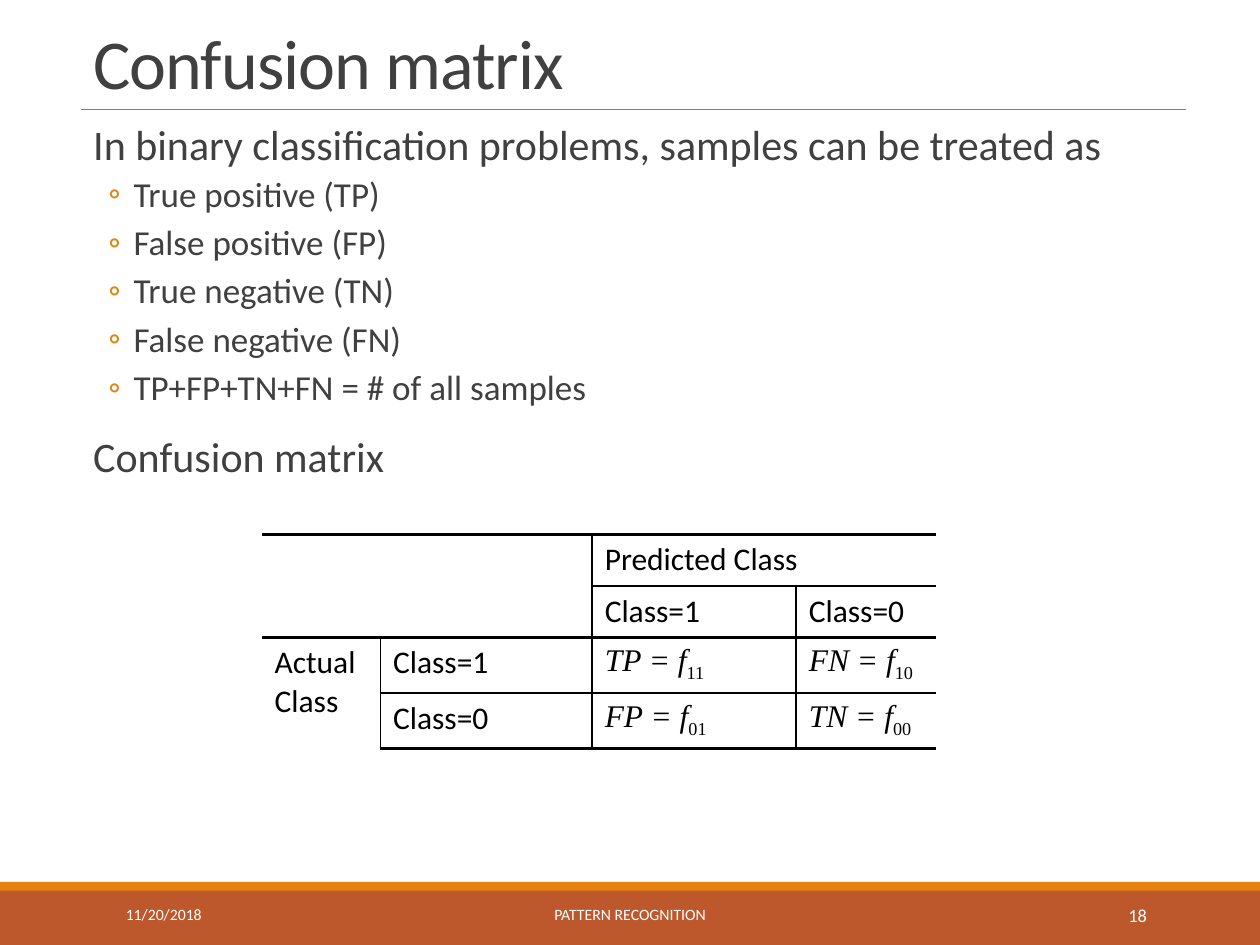
from dataclasses import dataclass

from lxml import etree
from pptx import Presentation
from pptx import util as u
from pptx.dml.color import RGBColor
from pptx.enum import shapes, text
from pptx.oxml import ns


@dataclass(frozen=True)
class Theme:
    """Colours, fonts and type sizes of the slide."""
    ink: str = "404040"
    black: str = "000000"
    white: str = "FFFFFF"
    rule: str = "808080"
    rust: str = "BD582C"
    orange: str = "E48312"
    sans: str = "Calibri"
    serif: str = "Times New Roman"
    title: float = 40
    lead: float = 24
    point: float = 20
    cell: float = 18
    footer: float = 9
    number: float = 10.5


THEME = Theme()
LEFT, CENTER, RIGHT = text.PP_ALIGN.LEFT, text.PP_ALIGN.CENTER, text.PP_ALIGN.RIGHT
TOP, MIDDLE, BOTTOM = text.MSO_ANCHOR.TOP, text.MSO_ANCHOR.MIDDLE, text.MSO_ANCHOR.BOTTOM

OUTCOMES = ["True positive (TP)", "False positive (FP)", "True negative (TN)",
            "False negative (FN)", "TP+FP+TN+FN = # of all samples"]
COLUMN_WIDTHS = [0.94, 1.68, 1.62, 1.11]
ROW_HEIGHT = 0.41
MERGES = [((0, 0), (1, 1)), ((0, 2), (0, 3)), ((2, 0), (3, 0))]
LABELS = {(0, 2): "Predicted Class", (1, 2): "Class=1", (1, 3): "Class=0",
          (2, 0): "Actual Class", (2, 1): "Class=1", (3, 1): "Class=0"}
COUNTS = {(2, 2): ("TP", "11"), (2, 3): ("FN", "10"),
          (3, 2): ("FP", "01"), (3, 3): ("TN", "00")}
ROW_RULES = [[2.25] * 4, [0, 0, 1, 1], [1.5] * 4, [0, 1, 1, 1], [2.25] * 4]
COLUMN_RULES = [[0] * 4, [0, 0, 1, 1], [1.5] * 4, [0, 1, 1, 1], [0] * 4]


def inches(*lengths):
    """Convert numbers to lengths."""
    return [u.Inches(length) for length in lengths]


def write(paragraph, words, *, size, color=THEME.ink, font=THEME.sans,
          italic=False, baseline=None, tracking=None):
    """Add one formatted run to a paragraph."""
    run = paragraph.add_run()
    run.text = words
    run.font.size = u.Pt(size)
    run.font.name = font
    run.font.italic = italic
    run.font.color.rgb = RGBColor.from_string(color)
    properties = run._r.get_or_add_rPr()
    if baseline is not None:
        properties.set("baseline", str(baseline * 1000))
    if tracking is not None:
        properties.set("spc", str(int(tracking * 100)))


def add_frame(slide, place, *, anchor=TOP, side=0.1):
    """Add a wrapping text box and return its text frame."""
    frame = slide.shapes.add_textbox(*inches(*place)).text_frame
    frame.word_wrap = True
    frame.vertical_anchor = anchor
    frame.margin_left = frame.margin_right = u.Inches(side)
    return frame


def add_line_of_text(slide, place, words, *, align=LEFT, anchor=MIDDLE,
                     leading=1.0, **style):
    """Add a text box that holds a single paragraph."""
    paragraph = add_frame(slide, place, anchor=anchor).paragraphs[0]
    paragraph.alignment = align
    paragraph.line_spacing = leading
    write(paragraph, words, **style)


def add_band(slide, place, color):
    """Add a plain coloured rectangle."""
    band = slide.shapes.add_shape(shapes.MSO_SHAPE.RECTANGLE, *inches(*place))
    band.shadow.inherit = False
    band.fill.solid()
    band.fill.fore_color.rgb = RGBColor.from_string(color)
    band.line.fill.background()


def add_title_rule(slide):
    """Add the thin line under the title."""
    rule = slide.shapes.add_connector(shapes.MSO_CONNECTOR.STRAIGHT,
                                      *inches(0.64, 0.87, 9.41, 0.87))
    rule.line.width = u.Pt(0.5)
    rule.line.color.rgb = RGBColor.from_string(THEME.rule)
    etree.SubElement(rule._element.spPr, ns.qn("a:effectLst"))


def format_bullet(paragraph, mark, *, margin, hanging, before, after):
    """Give a paragraph its bullet, indent and spacing."""
    paragraph.line_spacing = 0.9
    paragraph.space_before = u.Pt(before)
    paragraph.space_after = u.Pt(after)
    properties = paragraph._p.get_or_add_pPr()
    properties.set("marL", str(u.Inches(margin)))
    properties.set("indent", str(-u.Inches(hanging)))
    color = etree.SubElement(properties, ns.qn("a:buClr"))
    etree.SubElement(color, ns.qn("a:srgbClr"), val=THEME.orange)
    etree.SubElement(properties, ns.qn("a:buFont"), typeface=THEME.sans)
    etree.SubElement(properties, ns.qn("a:buChar"), char=mark)


def add_body(slide):
    """Add the lead sentences and the list of outcomes."""
    frame = add_frame(slide, (0.64, 0.94, 8.77, 5.95), side=0)
    lead = dict(margin=0.1, hanging=0.1, before=12, after=2)
    point = dict(margin=0.42, hanging=0.2, before=2, after=4)
    lines = [("In binary classification problems, samples can be treated as",
              " ", THEME.lead, lead)]
    lines += [(outcome, "◦", THEME.point, point) for outcome in OUTCOMES]
    lines.append(("Confusion matrix", " ", THEME.lead, lead))
    for index, (words, mark, size, layout) in enumerate(lines):
        paragraph = frame.add_paragraph() if index else frame.paragraphs[0]
        format_bullet(paragraph, mark, **layout)
        write(paragraph, words, size=size)


def set_borders(cell, **widths):
    """Draw the cell's edges, where a width of zero hides one."""
    properties = cell._tc.get_or_add_tcPr()
    for side, width in widths.items():
        edge = etree.SubElement(properties, ns.qn(f"a:ln{side}"), w=str(u.Pt(width)))
        if width:
            fill = etree.SubElement(edge, ns.qn("a:solidFill"))
            etree.SubElement(fill, ns.qn("a:srgbClr"), val=THEME.black)
        else:
            etree.SubElement(edge, ns.qn("a:noFill"))


def add_matrix(slide):
    """Add the confusion matrix with its ruled cells."""
    place = inches(2.08, 4.24, sum(COLUMN_WIDTHS), 4 * ROW_HEIGHT)
    matrix = slide.shapes.add_table(4, 4, *place).table
    matrix.first_row = matrix.horz_banding = False
    for column, width in zip(matrix.columns, COLUMN_WIDTHS):
        column.width = u.Inches(width)
    for r, row in enumerate(matrix.rows):
        row.height = u.Inches(ROW_HEIGHT)
        for c, cell in enumerate(row.cells):
            set_borders(cell, L=COLUMN_RULES[c][r], R=COLUMN_RULES[c + 1][r],
                        T=ROW_RULES[r][c], B=ROW_RULES[r + 1][c])
            cell.fill.background()
    for start, end in MERGES:
        matrix.cell(*start).merge(matrix.cell(*end))
    style = dict(size=THEME.cell, color=THEME.black)
    for position, label in LABELS.items():
        write(matrix.cell(*position).text_frame.paragraphs[0], label, **style)
    for position, (count, index) in COUNTS.items():
        paragraph = matrix.cell(*position).text_frame.paragraphs[0]
        write(paragraph, f"{count} = f", font=THEME.serif, italic=True, **style)
        write(paragraph, index, font=THEME.serif, baseline=-25, **style)


def add_footer(slide):
    """Add the date, course name and slide number."""
    entries = [(0.9, 2.03, "11/20/2018", LEFT, THEME.footer),
               (3.02, 3.96, "PATTERN RECOGNITION", CENTER, THEME.footer),
               (8.12, 1.08, "18", RIGHT, THEME.number)]
    for left, width, words, align, size in entries:
        add_line_of_text(slide, (left, 7.06, width, 0.4), words, align=align,
                         size=size, color=THEME.white)


def main():
    """Build the slide and save it."""
    deck = Presentation()
    deck.slide_width, deck.slide_height = inches(10, 7.5)
    slide = deck.slides.add_slide(deck.slide_layouts[6])
    add_band(slide, (0, 7.06, 10, 0.44), THEME.rust)
    add_band(slide, (0, 7, 10, 0.07), THEME.orange)
    add_title_rule(slide)
    add_line_of_text(slide, (0.64, 0.13, 8.77, 0.74), "Confusion matrix",
                     anchor=BOTTOM, leading=0.85, size=THEME.title, tracking=-0.5)
    add_body(slide)
    add_footer(slide)
    add_matrix(slide)
    deck.save("out.pptx")


if __name__ == "__main__":
    main()
